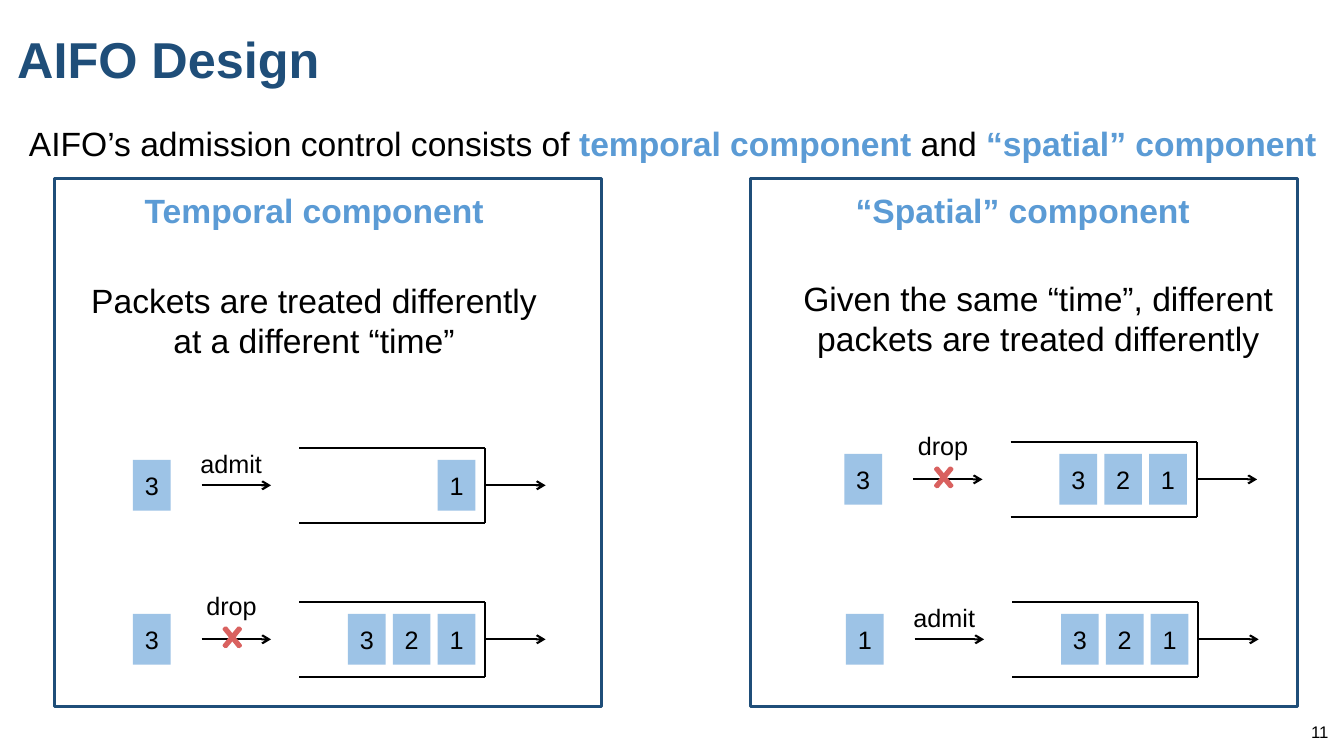
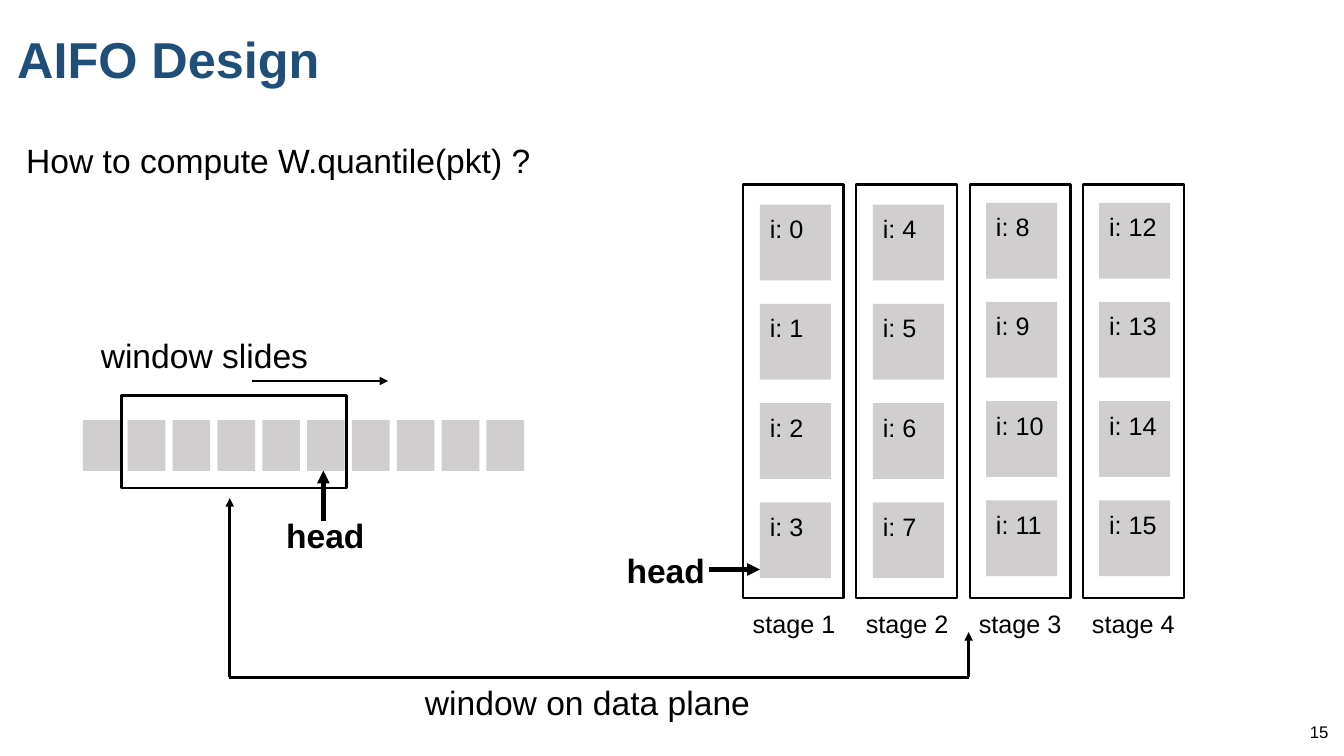
from pptx import Presentation
from pptx.dml.color import RGBColor
from pptx.enum import shapes, text
from pptx.oxml.ns import qn
from pptx.util import Cm, Pt
from lxml import etree

NAVY = RGBColor(0x1F, 0x4E, 0x79)
BLUE = RGBColor(0x5B, 0x9B, 0xD5)
PALE = RGBColor(0x9D, 0xC3, 0xE6)
GREY = RGBColor(0xD0, 0xCE, 0xCE)
RED = RGBColor(0xD9, 0x61, 0x5F)
BLACK = RGBColor(0, 0, 0)
FONT = "Arial"
RECT = shapes.MSO_SHAPE.RECTANGLE
LEFT, MID, RIGHT = (text.PP_ALIGN.LEFT, text.PP_ALIGN.CENTER,
                    text.PP_ALIGN.RIGHT)

# Content: all places and sizes are in centimetres
TITLE = "AIFO Design"
INTRO = [("AIFO’s admission control consists of ", BLACK, False),
         ("temporal component ", BLUE, True),
         ("and ", BLACK, False),
         ("“spatial” component", BLUE, True)]
PANELS = [
    dict(left=1.37, name="Temporal component", head=(3.35, 4.67, 9.14, 1.27),
         body="Packets are treated differently at a different “time”",
         box=(1.96, 6.93, 11.91, 2.31),
         rows=[(3.35, 11.28, "3", "admit", "1"),
               (3.35, 15.16, "3", "drop", "321")]),
    dict(left=18.92, name="“Spatial” component", head=(21.28, 4.67, 8.99, 1.27),
         body="Given the same “time”, different packets are treated differently",
         box=(19.84, 6.88, 12.65, 2.31),
         rows=[(21.28, 11.13, "3", "drop", "321"),
               (21.32, 15.16, "1", "admit", "321")]),
]
# Verdict label: offset from the row, then size
LABELS = {"admit": (1.45, -0.1, 2.08, 1.02), "drop": (1.6, -0.41, 1.8, 1.02)}
PACKET = (0.95, 1.28)
STEP = 1.13

ASK = "How to compute W.quantile(pkt) ?"
NOTES = [("window slides", False, (2.29, 8.31, 5.79, 1.27)),
         ("head", True, (15.54, 13.72, 2.51, 1.27)),
         ("head", True, (6.96, 12.85, 2.51, 1.27)),
         ("window on data plane", False, (10.46, 17.07, 8.79, 1.27))]
# Start, end, width in points, arrowhead
LINKS = [((6.35, 9.6), (9.78, 9.6), 2, "triangle"),
         ((17.88, 14.35), (19.15, 14.35), 3, "triangle"),
         ((8.15, 13.13), (8.15, 11.86), 3, "triangle"),
         ((5.79, 17.07), (5.79, 12.55), 2, "triangle"),
         ((5.77, 17.07), (24.41, 17.07), 2, None),
         ((24.41, 17.07), (24.41, 15.93), 2, "triangle")]
TOPS = [5.16, 5.16, 5.11, 5.11]
DEPTH = 4


# Shared helpers
def write(para, words, size, color=BLACK, bold=False):
    run = para.add_run()
    run.text = words
    font = run.font
    font.name, font.size, font.bold = FONT, Pt(size), bold
    font.color.rgb = color


def label(slide, at, runs, size=24, align=LEFT, wrap=False):
    box = slide.shapes.add_textbox(*map(Cm, at))
    frame = box.text_frame
    frame.word_wrap = wrap
    para = frame.paragraphs[0]
    para.alignment = align
    for words, color, bold in runs:
        write(para, words, size, color, bold)
    return frame


def block(slide, at, fill=None, line=None, width=1.5, kind=RECT):
    shape = slide.shapes.add_shape(kind, *map(Cm, at))
    shape.shadow.inherit = False
    if fill is None:
        shape.fill.background()
    else:
        shape.fill.solid()
        shape.fill.fore_color.rgb = fill
    if line is None:
        shape.line.fill.background()
    else:
        shape.line.color.rgb = line
        shape.line.width = Pt(width)
    return shape


def link(slide, start, end, width=1.5, tip=None):
    wire = slide.shapes.add_connector(
        shapes.MSO_CONNECTOR.STRAIGHT, *map(Cm, start + end))
    wire.line.color.rgb = BLACK
    wire.line.width = Pt(width)
    if tip:
        etree.SubElement(wire.line._get_or_add_ln(), qn("a:tailEnd"), type=tip)
    etree.SubElement(wire._element.spPr, qn("a:effectLst"))


def start(deck, page):
    slide = deck.slides.add_slide(deck.slide_layouts[5])
    title = slide.shapes.title
    title.left, title.top, title.width, title.height = map(
        Cm, (0.18, 0, 31.19, 3.12))
    frame = title.text_frame
    frame.vertical_anchor = text.MSO_ANCHOR.MIDDLE
    para = frame.paragraphs[0]
    para.alignment, para.line_spacing = LEFT, 0.9
    write(para, TITLE, 36, NAVY, True)
    foot = label(slide, (26.11, 17.93, 7.62, 1.02), [(page, BLACK, False)],
                 12, RIGHT, True)
    foot.vertical_anchor = text.MSO_ANCHOR.MIDDLE
    return slide


# Queue drawing
def packet(slide, x, y, mark):
    shape = block(slide, (x, y) + PACKET, PALE)
    frame = shape.text_frame
    frame.margin_left = frame.margin_right = 0
    frame.vertical_anchor = text.MSO_ANCHOR.MIDDLE
    para = frame.paragraphs[0]
    para.alignment = MID
    write(para, mark, 18)


def queue(slide, x, y, mark, verdict, held):
    mid, low, top = y + 0.95, y + 1.9, y + 0.31
    mouth, gate = x + 4.19, x + 8.88
    for level in (y, low):
        link(slide, (mouth, level), (gate, level))
    link(slide, (gate, low), (gate, y))
    link(slide, (gate, mid), (gate + 1.52, mid), tip="arrow")
    link(slide, (x + 1.73, mid), (x + 3.48, mid), tip="arrow")
    packet(slide, x, top, mark)
    for i, item in enumerate(reversed(held)):
        packet(slide, x + 7.68 - i * STEP, top, item)
    dx, dy, w, h = LABELS[verdict]
    label(slide, (x + dx, y + dy, w, h), [(verdict, BLACK, False)], 18)
    if verdict == "drop":
        cross = block(slide, (x + 2.15, y + 0.47, 0.71, 0.86), None, RED, 2.25,
                      shapes.MSO_SHAPE.MATH_MULTIPLY)
        cross.adjustments[0] = 0.075


def parts(deck):
    slide = start(deck, "11")
    label(slide, (0.48, 2.97, 33.39, 1.27), INTRO)
    for panel in PANELS:
        block(slide, (panel["left"], 4.5, 13.79, 13.31), None, NAVY, 2)
        label(slide, panel["head"], [(panel["name"], BLUE, True)], align=MID)
        label(slide, panel["box"], [(panel["body"], BLACK, False)],
              align=MID, wrap=True)
        for row in panel["rows"]:
            queue(slide, *row)


def window(deck):
    slide = start(deck, "15")
    label(slide, (0.41, 3.4, 13.33, 1.27), [(ASK, BLACK, False)])
    # Packet stream and sliding window
    for i in range(10):
        block(slide, (2.09 + i * STEP, 10.59) + PACKET, GREY)
    block(slide, (3.07, 9.96, 5.66, 2.34), None, BLACK, 2)
    # Stages with their registers
    for i, top in enumerate(TOPS):
        for j in range(DEPTH):
            cell = block(slide, (19.15 + i * 2.85, top + j * 2.5, 1.79, 1.91),
                         GREY)
            frame = cell.text_frame
            frame.word_wrap = False
            frame.vertical_anchor = text.MSO_ANCHOR.TOP
            frame.margin_top = Cm(0.22)
            para = frame.paragraphs[0]
            para.alignment = LEFT
            write(para, f"i: {i * DEPTH + j}", 18)
        block(slide, (18.72 + i * 2.86, 4.65, 2.54, 10.41), None, BLACK)
        label(slide, (18.72 + i * 2.85, 15.21, 2.62, 1.02),
              [(f"stage {i + 1}", BLACK, False)], 18)
    # Pointers and captions
    for wire in LINKS:
        link(slide, *wire)
    for words, bold, at in NOTES:
        label(slide, at, [(words, BLACK, bold)])


def main():
    deck = Presentation()
    deck.slide_width, deck.slide_height = Cm(33.87), Cm(19.05)
    parts(deck)
    window(deck)
    deck.save("out.pptx")


if __name__ == "__main__":
    main()
